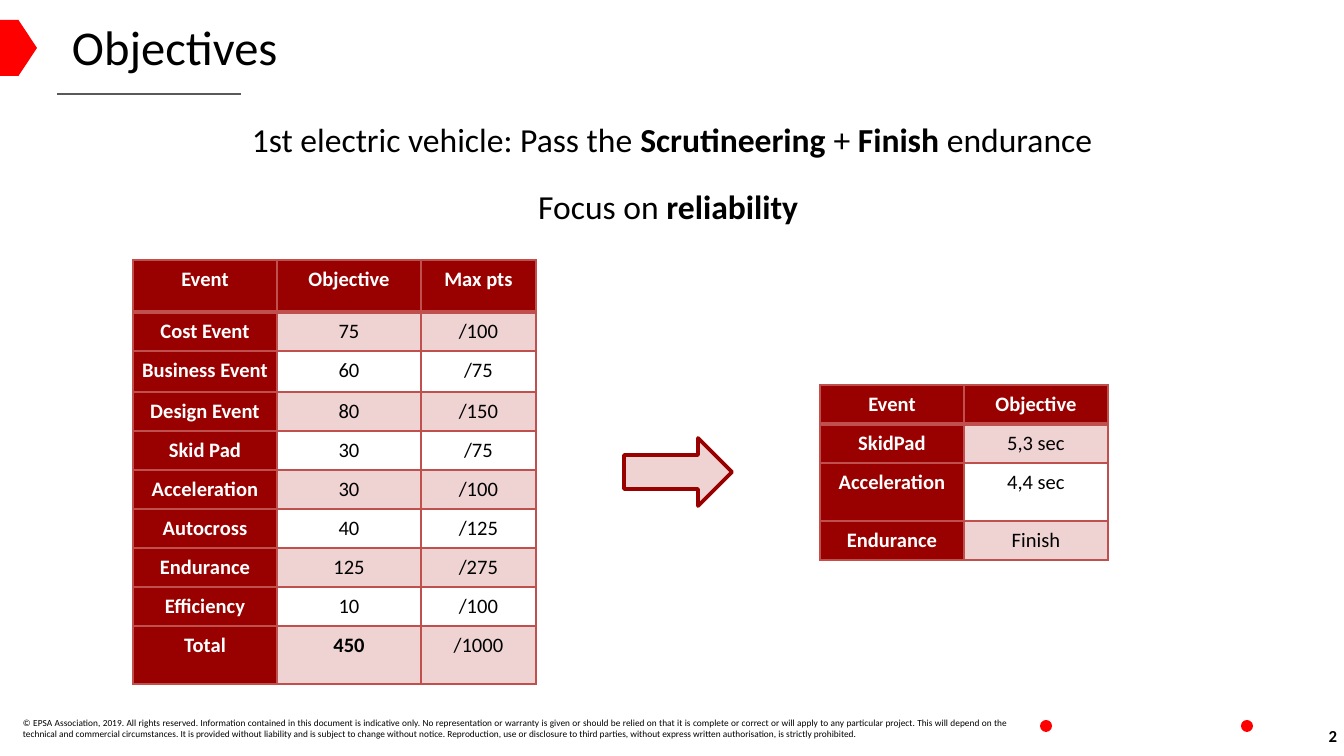
from lxml import etree
from pptx import Presentation
from pptx.dml.color import RGBColor
from pptx.enum.shapes import MSO_CONNECTOR, MSO_SHAPE
from pptx.enum.text import MSO_ANCHOR, PP_ALIGN
from pptx.oxml.ns import qn
from pptx.util import Pt

PX = 9144000 / 1344
FONT = "Calibri"
C = {"red": "FF0000", "dark": "990000", "pink": "EFD3D2", "border": "C0504D",
     "rule": "595959", "black": "000000", "white": "FFFFFF"}
LEFT, CENTER, RIGHT = PP_ALIGN.LEFT, PP_ALIGN.CENTER, PP_ALIGN.RIGHT
JUSTIFY = PP_ALIGN.JUSTIFY
MIDDLE, TOP = MSO_ANCHOR.MIDDLE, MSO_ANCHOR.TOP
PENTAGON, OVAL, ARROW = MSO_SHAPE.PENTAGON, MSO_SHAPE.OVAL, MSO_SHAPE.RIGHT_ARROW
STRAIGHT = MSO_CONNECTOR.STRAIGHT

EVENT_ROWS = [
    ("Event", "Objective", "Max pts"),
    ("Cost Event", "75", "/100"),
    ("Business Event", "60", "/75"),
    ("Design Event", "80", "/150"),
    ("Skid Pad", "30", "/75"),
    ("Acceleration", "30", "/100"),
    ("Autocross", "40", "/125"),
    ("Endurance", "125", "/275"),
    ("Efficiency", "10", "/100"),
    ("Total", "450", "/1000"),
]
TARGET_ROWS = [
    ("Event", "Objective"),
    ("SkidPad", "5,3 sec"),
    ("Acceleration", "4,4 sec"),
    ("Endurance", "Finish"),
]


def px(*values):
    return [round(v * PX) for v in values]


def rgb(name):
    return RGBColor.from_string(C[name])


def style(font, size, color="black", bold=False):
    font.name, font.size, font.bold = FONT, Pt(size), bold
    font.color.rgb = rgb(color)


def set_frame(tf, anchor, inset_x, inset_y):
    tf.word_wrap = True
    tf.vertical_anchor = anchor
    tf.margin_left, tf.margin_right = px(inset_x, inset_x)
    tf.margin_top, tf.margin_bottom = px(inset_y, inset_y)


def add_text(slide, box, paragraphs, size, align, anchor=MIDDLE, inset=(0, 0), gap=0):
    """Each paragraph is a list of (text, bold) runs."""
    tf = slide.shapes.add_textbox(*px(*box)).text_frame
    set_frame(tf, anchor, *inset)
    for i, runs in enumerate(paragraphs):
        p = tf.add_paragraph() if i else tf.paragraphs[0]
        p.alignment = align
        if i:
            p.space_before = Pt(gap)
        for text, bold in runs:
            r = p.add_run()
            r.text = text
            style(r.font, size, bold=bold)


def add_solid(slide, kind, box, fill, line=None, width=0):
    sp = slide.shapes.add_shape(kind, *px(*box))
    sp.shadow.inherit = False
    sp.fill.solid()
    sp.fill.fore_color.rgb = rgb(fill)
    if line:
        sp.line.color.rgb = rgb(line)
        sp.line.width = Pt(width)
    else:
        sp.line.fill.background()


def add_header(slide, x, y, title):
    add_solid(slide, PENTAGON, (x, y, 37, 56), "red")
    rule = slide.shapes.add_connector(STRAIGHT, *px(x + 57, y + 74, x + 241, y + 74))
    rule.line.color.rgb = rgb("rule")
    rule.line.width = Pt(1.5)
    etree.SubElement(rule._element.spPr, qn("a:effectLst"))
    sp = slide.shapes.title
    sp.left, sp.top, sp.width, sp.height = px(x + 65, y - 1, 1227, 62)
    tf = sp.text_frame
    tf.text = title
    set_frame(tf, MIDDLE, 7, 4)
    p = tf.paragraphs[0]
    p.alignment, p.line_spacing = LEFT, 0.9
    style(p.runs[0].font, 26)


def add_footer(slide, x, y, notice, number):
    add_text(slide, (x + 23, y, 988, 42), [[(notice, False)]], 5, JUSTIFY)
    for dot_x in (1040, 1241):
        add_solid(slide, OVAL, (x + dot_x, y + 13, 12, 12), "red")
    add_text(slide, (x + 1292, y + 9, 52, 40), [[(number, True)]], 9, RIGHT,
             inset=(7, 4))


def set_borders(cell, row):
    """Thin lines all round, with a thick one under the header row."""
    tc_pr = cell._tc.get_or_add_tcPr()
    widths = {"L": 1, "R": 1, "T": 2.25 if row == 1 else 1,
              "B": 2.25 if row == 0 else 1}
    for i, (side, width) in enumerate(widths.items()):
        ln = etree.Element(qn(f"a:ln{side}"), w=str(Pt(width)))
        fill = etree.SubElement(ln, qn("a:solidFill"))
        etree.SubElement(fill, qn("a:srgbClr"), val=C["border"])
        tc_pr.insert(i, ln)


def add_score_table(slide, x, y, rows, widths, heights):
    frame = slide.shapes.add_table(len(rows), len(widths),
                                   *px(x, y, sum(widths), sum(heights)))
    table = frame.table
    for col, width in zip(table.columns, px(*widths)):
        col.width = width
    for row, height in zip(table.rows, px(*heights)):
        row.height = height
    for i, texts in enumerate(rows):
        for j, text in enumerate(texts):
            heading = i == 0 or j == 0
            cell = table.cell(i, j)
            cell.margin_left, cell.margin_right = px(5, 5)
            cell.margin_top, cell.margin_bottom = px(7, 7)
            cell.fill.solid()
            band = "pink" if i % 2 else "white"
            cell.fill.fore_color.rgb = rgb("dark" if heading else band)
            set_borders(cell, i)
            cell.text_frame.text = text
            p = cell.text_frame.paragraphs[0]
            p.alignment = CENTER
            is_total = texts[0] == "Total" and j == 1
            style(p.runs[0].font, 11, "white" if heading else "black",
                  heading or is_total)


def main():
    prs = Presentation()
    prs.slide_width, prs.slide_height = px(1344, 756)
    s = prs.slides.add_slide(prs.slide_layouts[5])
    add_header(s, 0, 20, "Objectives")
    add_text(s, (133, 112, 1078, 122), [
        [("1st electric vehicle: Pass the ", False), ("Scrutineering", True),
         (" + ", False), ("Finish", True), (" endurance", False)],
        [("Focus on ", False), ("reliability ", True)],
    ], 18, CENTER, TOP, (13, 7), gap=14)
    add_score_table(s, 133, 260, EVENT_ROWS, [144, 144, 115],
                    [52, 39, 41] + [39] * 6 + [58])
    add_solid(s, ARROW, (624, 438, 108, 68), "pink", "dark", 2)
    add_score_table(s, 820, 385, TARGET_ROWS, [144, 144], [39, 39, 58, 39])
    add_footer(
        s, 0, 707,
        "© EPSA Association, 2019. All rights reserved. Information contained in this "
        "document is indicative only. No representation or warranty is given or should "
        "be relied on that it is complete or correct or will apply to any particular "
        "project. This will depend on the technical and commercial circumstances. It is "
        "provided without liability and is subject to change without notice. "
        "Reproduction, use or disclosure to third parties, without express written "
        "authorisation, is strictly prohibited.", "2")
    prs.save("out.pptx")


if __name__ == "__main__":
    main()
